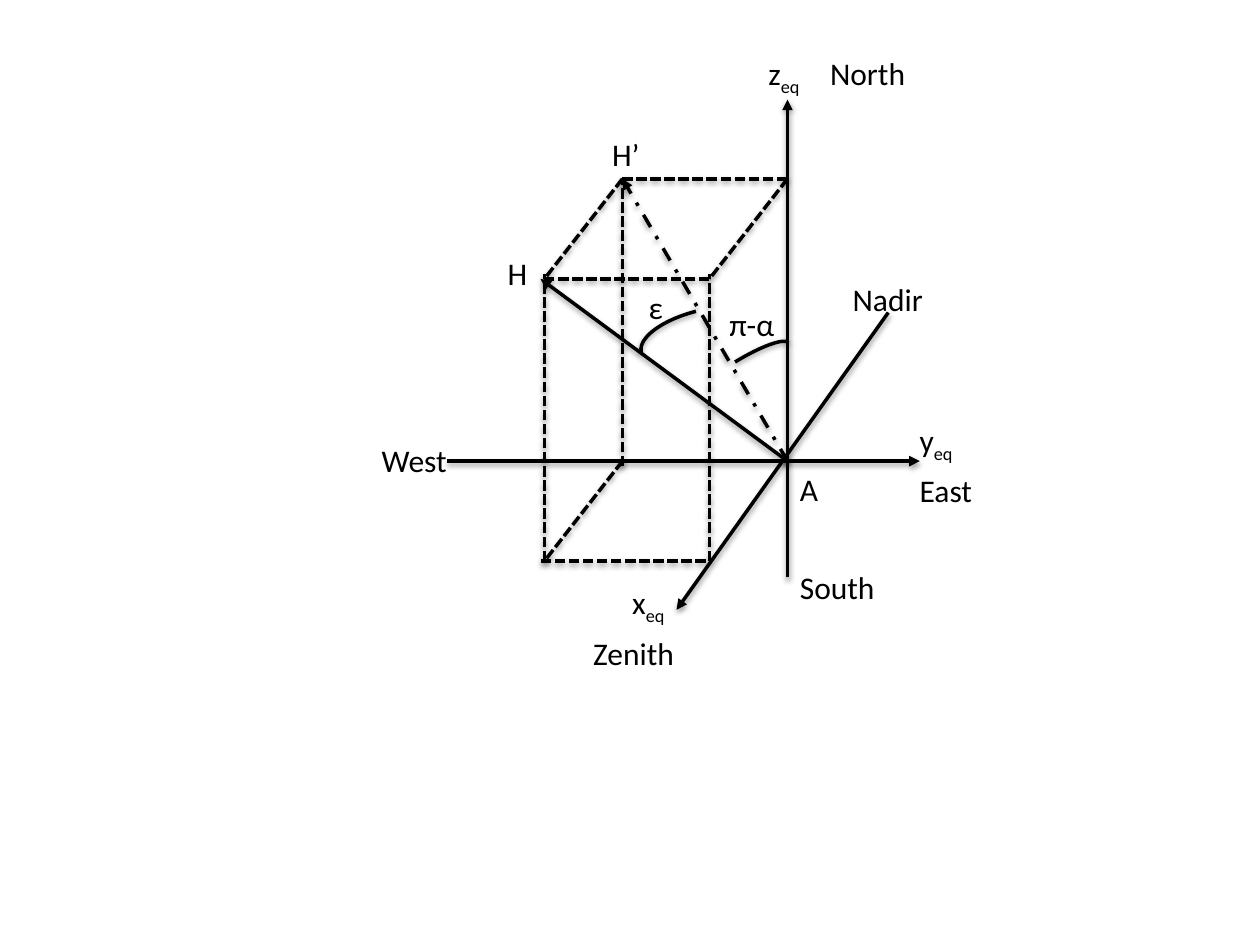
import dataclasses

import lxml.etree
import pptx
import pptx.dml.color
import pptx.enum.dml
import pptx.enum.shapes
import pptx.enum.text
import pptx.oxml
import pptx.oxml.ns
import pptx.util

Pt = pptx.util.Pt
qn = pptx.oxml.ns.qn
Dash = pptx.enum.dml.MSO_LINE


@dataclasses.dataclass(frozen=True)
class Theme:
    ink: pptx.dml.color.RGBColor = pptx.dml.color.RGBColor(0, 0, 0)
    font: str = "Calibri"
    text_size: float = 18
    line_width: float = 2


theme = Theme()
SHADOW = (
    '<a:effectLst xmlns:a="http://schemas.openxmlformats.org/drawingml/2006/main">'
    '<a:outerShdw blurRad="40000" dist="20000" dir="5400000" rotWithShape="0">'
    '<a:srgbClr val="000000"><a:alpha val="38000"/></a:srgbClr>'
    "</a:outerShdw></a:effectLst>"
)


def style_stroke(shape, dash=None):
    shape.line.color.rgb = theme.ink
    shape.line.width = Pt(theme.line_width)
    if dash:
        shape.line.dash_style = dash
    shape._element.spPr.append(pptx.oxml.parse_xml(SHADOW))


def add_line(start, end, dash=None, arrow=False):
    connector = slide.shapes.add_connector(
        pptx.enum.shapes.MSO_CONNECTOR.STRAIGHT, *map(Pt, start + end)
    )
    style_stroke(connector, dash)
    if arrow:
        line = connector.line._get_or_add_ln()
        lxml.etree.SubElement(line, qn("a:tailEnd"), type="triangle")


presentation = pptx.Presentation()
presentation.slide_width, presentation.slide_height = Pt(720), Pt(540)
slide = presentation.slides.add_slide(presentation.slide_layouts[6])

origin = (450, 263.5)
top, bottom = 102.2, origin[1]
left, right = 355.7, origin[0]
shift_x, shift_y = -44.6, 57.2
front_left, front_right = left + shift_x, right + shift_x
front_top, front_bottom = top + shift_y, bottom + shift_y

for start, end in [
    ((255.6, origin[1]), (525.6, origin[1])),
    ((origin[0], 329.8), (origin[0], 56.9)),
    ((507.6, 178.6), (386.6, 348.5)),
    (origin, (308.9, front_top)),
]:
    add_line(start, end, arrow=True)

for start, end in [
    ((left, top), (front_left, front_top)),
    ((right, top), (left, top)),
    ((right, top), (front_right, front_top)),
    ((front_right, front_top), (front_left, front_top)),
    ((front_right, front_bottom), (front_right, front_top - 3)),
    ((front_left, front_bottom), (front_left, front_top - 3)),
    ((front_right - 2, front_bottom), (front_left - 2, front_bottom)),
    ((left, bottom), (front_left, front_bottom)),
    ((left, bottom + 3), (left, top)),
]:
    add_line(start, end, dash=Dash.SQUARE_DOT)

add_line(origin, (left, top), dash=Dash.DASH_DOT, arrow=True)

for x, y, width, height, rotation in [
    (386.6, 156.2, 29.5, 72, 255.7),
    (391.7, 205.9, 63.4, 13, 328.6),
]:
    arc = slide.shapes.add_shape(
        pptx.enum.shapes.MSO_SHAPE.ARC, Pt(x), Pt(y), Pt(width), Pt(height)
    )
    arc.rotation = rotation
    arc.fill.background()
    style_stroke(arc)

for text, subscript, x, y, width in [
    ("y", "eq", 518.4, 236.9, 35.3),
    ("z", "eq", 432, 27.4, 35.3),
    ("x", "eq", 354.2, 329.8, 35.3),
    ("East", "", 518.4, 265.7, 44.6),
    ("North", "", 467.3, 27.4, 57.6),
    ("South", "", 450, 321.1, 57.6),
    ("Zenith", "", 331.9, 358.6, 61.2),
    ("A", "", 450, 265, 25.2),
    ("H", "", 283, 141.8, 25.9),
    ("West", "", 211, 248.4, 51.8),
    ("Nadir", "", 480.2, 156.2, 54.7),
    ("H’", "", 342.7, 73.4, 30.2),
    ("ε", "", 363.6, 161.3, 23),
    ("π-α", "", 409.7, 170.6, 40.3),
]:
    label = slide.shapes.add_textbox(Pt(x), Pt(y), Pt(width), Pt(29))
    label.text_frame.word_wrap = False
    label.text_frame.auto_size = pptx.enum.text.MSO_AUTO_SIZE.SHAPE_TO_FIT_TEXT
    paragraph = label.text_frame.paragraphs[0]
    paragraph.font.name = theme.font
    paragraph.font.size = Pt(theme.text_size)
    paragraph.font.color.rgb = theme.ink
    paragraph.add_run().text = text
    if subscript:
        run = paragraph.add_run()
        run.text = subscript
        run._r.get_or_add_rPr().set("baseline", "-25000")

presentation.save("out.pptx")
